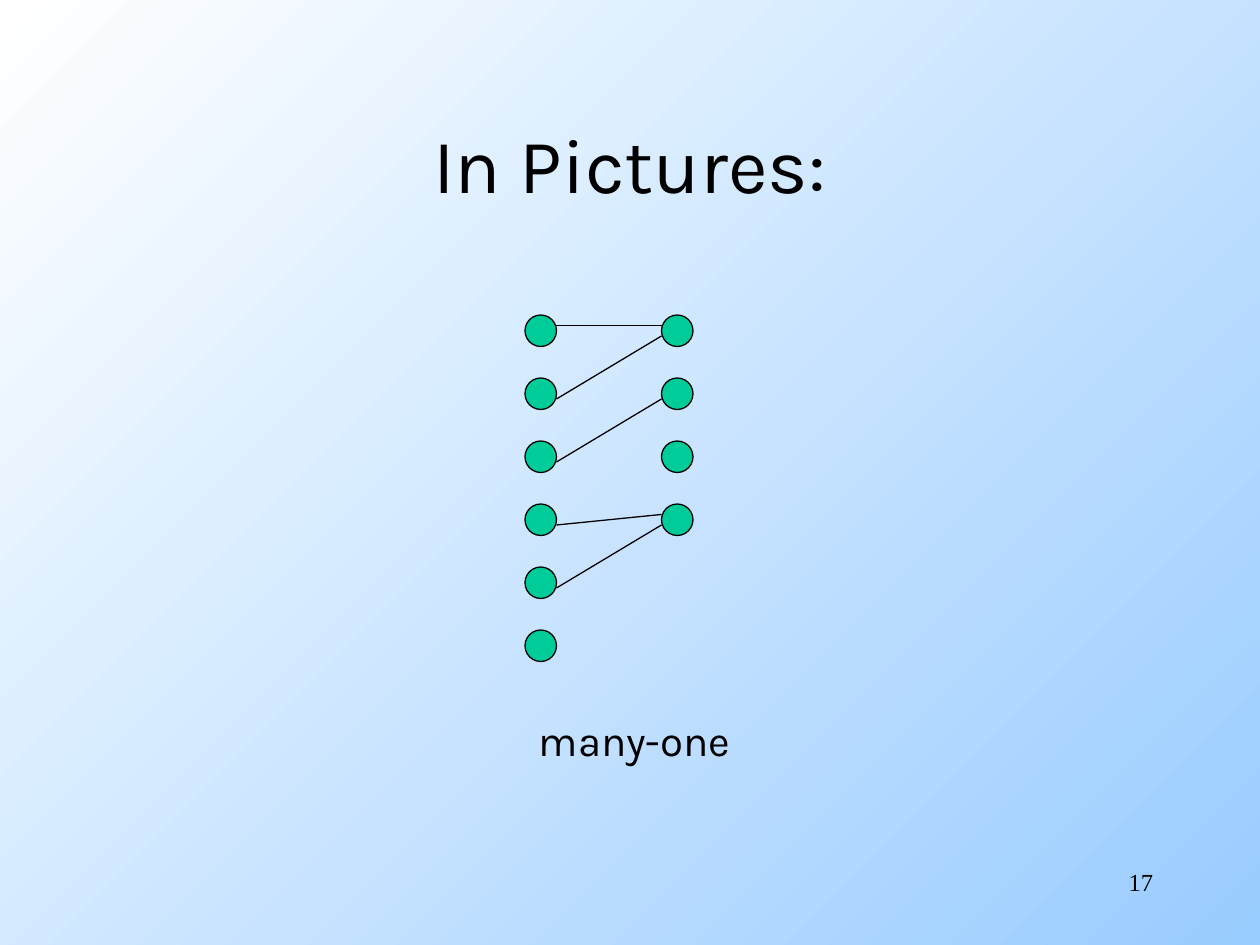
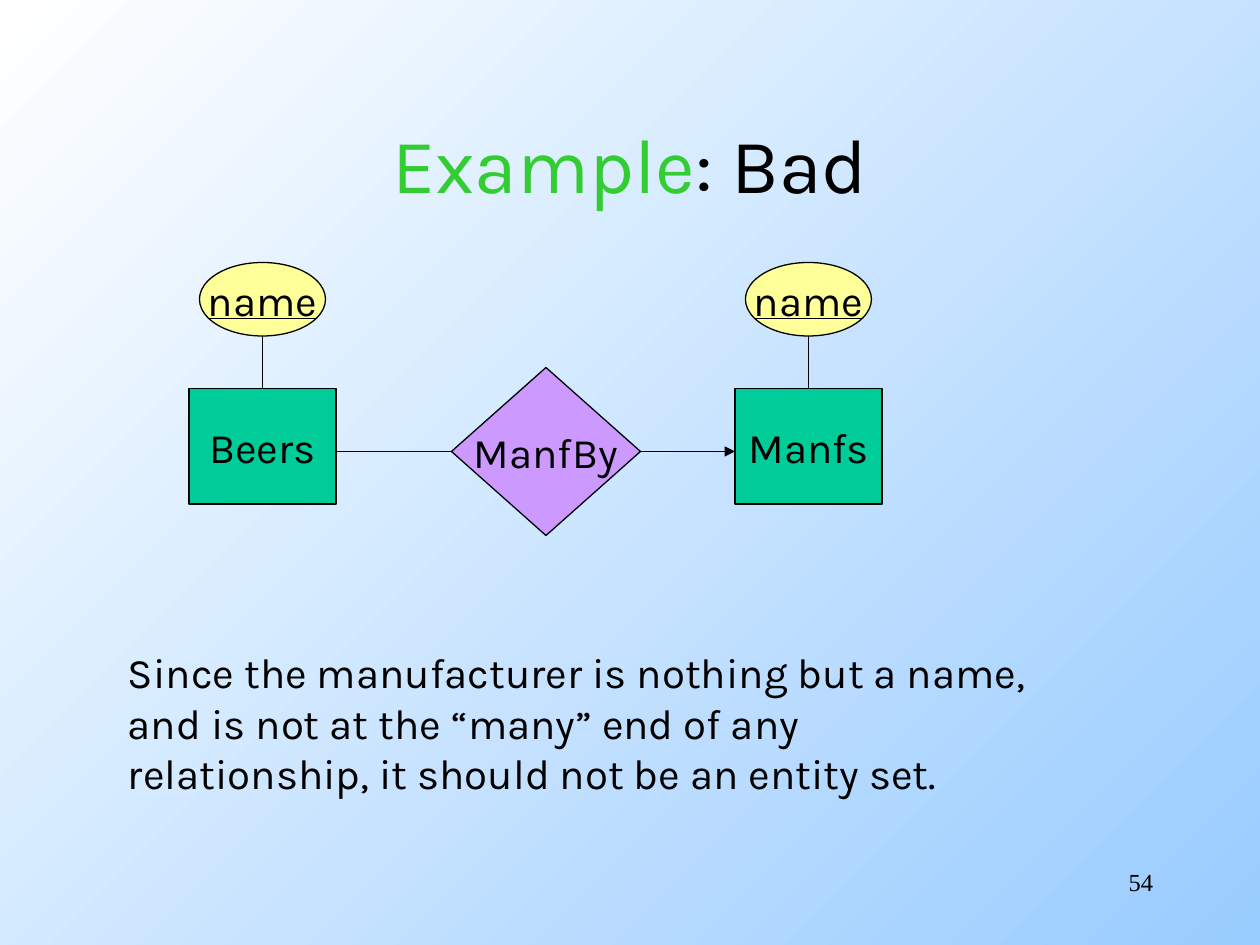
from dataclasses import dataclass

from lxml import etree
from pptx import Presentation
from pptx.dml.color import RGBColor
from pptx.enum.shapes import MSO_CONNECTOR, MSO_SHAPE
from pptx.enum.text import MSO_ANCHOR, PP_ALIGN
from pptx.oxml.ns import qn
from pptx.util import Pt

LEFT, CENTER, RIGHT = PP_ALIGN.LEFT, PP_ALIGN.CENTER, PP_ALIGN.RIGHT
TOP, MIDDLE = MSO_ANCHOR.TOP, MSO_ANCHOR.MIDDLE
OVAL, RECTANGLE, DIAMOND = MSO_SHAPE.OVAL, MSO_SHAPE.RECTANGLE, MSO_SHAPE.DIAMOND
STRAIGHT = MSO_CONNECTOR.STRAIGHT

EMU_PER_PX = 9525  # 96 px to the inch
BLANK_LAYOUT = 6


@dataclass(frozen=True)
class Theme:
    ink: str = "000000"
    accent: str = "33CC33"
    entity: str = "00CC99"
    relationship: str = "CC99FF"
    attribute: str = "FFFF99"
    sky_start: str = "FFFFFF"
    sky_end: str = "99CCFF"
    font: str = "Karla"
    number_font: str = "Times New Roman"
    title_size: int = 44
    body_size: int = 24
    number_size: int = 14
    outline: float = 0.75


THEME = Theme()


def px(*lengths):
    return [length * EMU_PER_PX for length in lengths]


def rgb(colour):
    return RGBColor.from_string(colour)


# Text
def write(frame, runs, size=THEME.body_size, font=THEME.font, align=LEFT,
          anchor=TOP, wrap=True, underline=False):
    """Fill a frame with one paragraph of (text, colour) runs."""
    frame.word_wrap = wrap
    frame.vertical_anchor = anchor
    paragraph = frame.paragraphs[0]
    paragraph.alignment = align
    for text, colour in runs:
        run = paragraph.add_run()
        run.text = text
        run.font.name = font
        run.font.size = Pt(size)
        run.font.color.rgb = rgb(colour)
        if underline:
            run.font.underline = True


def add_text(slide, box, runs, **style):
    write(slide.shapes.add_textbox(*px(*box)).text_frame, runs, **style)


# Shapes and lines
def add_node(slide, kind, box, colour, label="", underline=False):
    node = slide.shapes.add_shape(kind, *px(*box))
    node.shadow.inherit = False
    node.fill.solid()
    node.fill.fore_color.rgb = rgb(colour)
    node.line.color.rgb = rgb(THEME.ink)
    node.line.width = Pt(THEME.outline)
    if label:
        write(node.text_frame, [(label, THEME.ink)], align=CENTER,
              anchor=MIDDLE, wrap=False, underline=underline)


def add_link(slide, start, end, arrow=False):
    link = slide.shapes.add_connector(STRAIGHT, *px(*start, *end))
    link.line.color.rgb = rgb(THEME.ink)
    link.line.width = Pt(THEME.outline)
    properties = link._element.spPr
    if arrow:
        etree.SubElement(properties.find(qn("a:ln")), qn("a:tailEnd"), type="triangle")
    etree.SubElement(properties, qn("a:effectLst"))


# Shared slide frame: background, number and title
def add_slide(deck, number, title_runs):
    slide = deck.slides.add_slide(deck.slide_layouts[BLANK_LAYOUT])
    sky = slide.background.fill
    sky.gradient()
    sky.gradient_angle = 315
    for stop, colour in zip(sky.gradient_stops, (THEME.sky_start, THEME.sky_end)):
        stop.color.rgb = rgb(colour)
    add_text(slide, (688, 656, 200, 48), [(str(number), THEME.ink)],
             size=THEME.number_size, font=THEME.number_font, align=RIGHT)
    add_text(slide, (72, 64, 816, 120), title_runs,
             size=THEME.title_size, align=CENTER, anchor=MIDDLE)
    return slide


def build_many_one(deck):
    slide = add_slide(deck, 17, [("In Pictures:", THEME.ink)])
    many_x, one_x, first_y, step, dot = 400, 504, 240, 48, 24
    upper, lower = dot // 3, dot * 2 // 3

    # Two columns of members
    for column_x, count in ((many_x, 6), (one_x, 4)):
        for row in range(count):
            add_node(slide, OVAL, (column_x, first_y + row * step, dot, dot), THEME.entity)

    # Pairs: row and height on the dot, for each side
    pairs = [(0, upper, 0, upper), (1, lower, 0, lower), (2, lower, 1, lower),
             (3, lower, 3, upper), (4, lower, 3, lower)]
    for many_row, many_dy, one_row, one_dy in pairs:
        add_link(slide, (many_x + dot, first_y + many_row * step + many_dy),
                 (one_x, first_y + one_row * step + one_dy))

    add_text(slide, (401, 540, 168, 48), [("many-one", THEME.ink)], wrap=False)


def build_bad_example(deck):
    slide = add_slide(deck, 54, [("Example", THEME.accent), (": Bad", THEME.ink)])
    entity_y, entity_w, entity_h = 296, 112, 88
    name_y, name_w, name_h = 200, 96, 56
    beers_x, manfs_x, manf_by_x, manf_by_w = 144, 560, 344, 144
    link_y = 344

    # Entity sets, each with its key attribute
    for entity_x, entity in ((beers_x, "Beers"), (manfs_x, "Manfs")):
        middle = entity_x + entity_w // 2
        add_node(slide, RECTANGLE, (entity_x, entity_y, entity_w, entity_h),
                 THEME.entity, entity)
        add_node(slide, OVAL, (middle - name_w // 2, name_y, name_w, name_h),
                 THEME.attribute, "name", underline=True)
        add_link(slide, (middle, name_y + name_h), (middle, entity_y))

    # Relationship
    add_node(slide, DIAMOND, (manf_by_x, 280, manf_by_w, 128), THEME.relationship, "ManfBy")
    add_link(slide, (manf_by_x, link_y), (beers_x + entity_w, link_y))
    add_link(slide, (manf_by_x + manf_by_w, link_y), (manfs_x, link_y), arrow=True)

    add_text(slide, (88, 488, 722, 125), [(
        "Since the manufacturer is nothing but a name, and is not at the “many” end "
        "of any relationship, it should not be an entity set.", THEME.ink)])


def main():
    deck = Presentation()
    deck.slide_width, deck.slide_height = px(960, 720)
    build_many_one(deck)
    build_bad_example(deck)
    deck.save("out.pptx")


if __name__ == "__main__":
    main()
